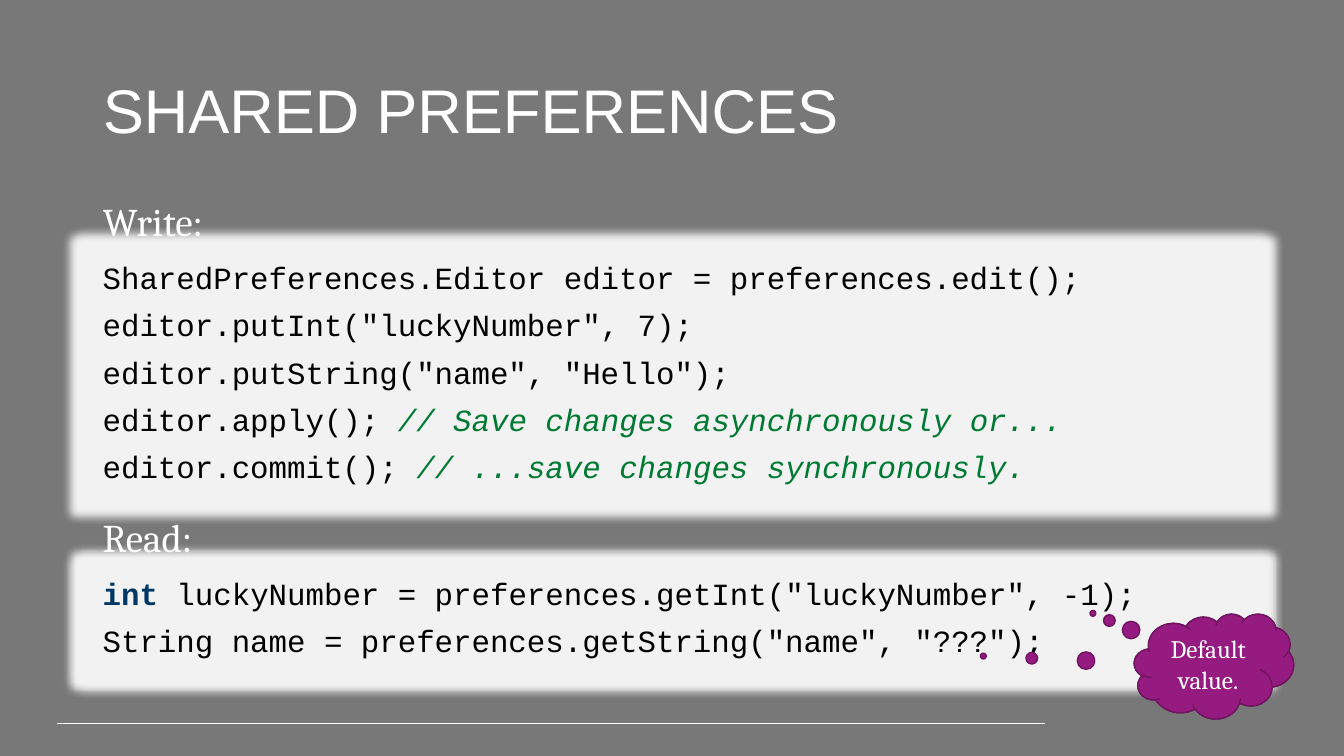
from dataclasses import dataclass

from lxml import etree
from pptx import Presentation
from pptx.dml.color import RGBColor
from pptx.enum.shapes import MSO_CONNECTOR, MSO_SHAPE
from pptx.enum.text import MSO_ANCHOR, MSO_AUTO_SIZE, PP_ALIGN
from pptx.oxml.ns import qn
from pptx.util import Inches, Pt

RECT = MSO_SHAPE.RECTANGLE
CLOUD = MSO_SHAPE.CLOUD_CALLOUT
STRAIGHT = MSO_CONNECTOR.STRAIGHT
TOP, MIDDLE = MSO_ANCHOR.TOP, MSO_ANCHOR.MIDDLE
LEFT, CENTER = PP_ALIGN.LEFT, PP_ALIGN.CENTER
FIXED, GROW = MSO_AUTO_SIZE.NONE, MSO_AUTO_SIZE.SHAPE_TO_FIT_TEXT

COLORS = {
    "back": "787878",
    "white": "FFFFFF",
    "panel": "F2F2F2",
    "code": "000000",
    "note": "007A33",
    "key": "003865",
    "cloud": "961B81",
    "edge": "6F145F",
}
MARGIN = 0.92
WIDTH = 11.5
HEAD_WIDTH = 10.09
GLOW = Pt(11)


@dataclass(frozen=True)
class Span:
    text: str
    color: str = "code"
    bold: bool = False
    slant: bool = False


@dataclass(frozen=True)
class Panel:
    top: float
    height: float
    lines: list[list[Span]]


@dataclass(frozen=True)
class Cloud:
    tail: tuple[float, float]


PANELS = [
    Panel(2.56, 2.33, [
        [Span("SharedPreferences.Editor editor = preferences.edit();")],
        [Span('editor.putInt("luckyNumber", 7);')],
        [Span('editor.putString("name", "Hello");')],
        [Span("editor.apply(); "),
         Span("// Save changes asynchronously or...", "note", slant=True)],
        [Span("editor.commit();"),
         Span(" // ...save changes synchronously.", "note", slant=True)],
    ]),
    Panel(5.69, 0.92, [
        [Span("int ", "key", bold=True),
         Span('luckyNumber = preferences.getInt("luckyNumber", -1);')],
        [Span('String name = preferences.getString("name", "???");')],
    ]),
]
CLOUDS = [Cloud((-0.76, -0.505)), Cloud((-1.448, -0.097))]


def tint(name: str) -> RGBColor:
    return RGBColor.from_string(COLORS[name])


def place(shape, left: float, top: float, width: float, height: float) -> None:
    shape.left, shape.top = Inches(left), Inches(top)
    shape.width, shape.height = Inches(width), Inches(height)


def write(shape, lines: list[list[Span]], font: str, size: float,
          pitch: float = 1.0, gap: float = 0, align=LEFT, anchor=TOP, fit=FIXED) -> None:
    frame = shape.text_frame
    frame.word_wrap = True
    frame.auto_size = fit
    frame.vertical_anchor = anchor
    for index, line in enumerate(lines):
        para = frame.add_paragraph() if index else frame.paragraphs[0]
        para.alignment = align
        para.line_spacing = pitch
        para.space_before = Pt(gap if index else 0)
        for span in line:
            run = para.add_run()
            run.text = span.text
            run.font.name = font
            run.font.size = Pt(size)
            run.font.bold = span.bold
            run.font.italic = span.slant
            run.font.color.rgb = tint(span.color)


def head(shape, text: str) -> None:
    write(shape, [[Span(text, "white")]], "Cambria", 28, pitch=0.8)


def strip(shape) -> None:
    props = shape.text_frame.paragraphs[0]._p.get_or_add_pPr()
    props.set("marL", "0")
    props.set("indent", "0")
    etree.SubElement(props, qn("a:buNone"))


def draw_panel(shapes, panel: Panel) -> None:
    box = shapes.add_shape(RECT, Inches(MARGIN), Inches(panel.top),
                           Inches(WIDTH), Inches(panel.height))
    box.shadow.inherit = False
    box.fill.solid()
    box.fill.fore_color.rgb = tint("panel")
    box.line.fill.background()
    effects = box.element.spPr.find(qn("a:effectLst"))
    glow = etree.SubElement(effects, qn("a:glow"), rad=str(GLOW))
    etree.SubElement(glow, qn("a:srgbClr"), val=COLORS["panel"])
    write(box, panel.lines, "Courier New", 22, pitch=0.9, gap=10, fit=GROW)


def draw_cloud(shapes, cloud: Cloud) -> None:
    puff = shapes.add_shape(CLOUD, Inches(11.25), Inches(6.09), Inches(1.58), Inches(1.04))
    puff.shadow.inherit = False
    puff.adjustments[0], puff.adjustments[1] = cloud.tail
    puff.fill.solid()
    puff.fill.fore_color.rgb = tint("cloud")
    puff.line.color.rgb = tint("edge")
    puff.line.width = Pt(1)
    write(puff, [[Span("Default value.", "white")]], "Cambria", 18,
          align=CENTER, anchor=MIDDLE)


def draw_rule(shapes) -> None:
    rule = shapes.add_connector(STRAIGHT, Inches(0.57), Inches(7.18),
                                Inches(10.36), Inches(7.18))
    rule.line.color.rgb = tint("white")
    rule.line.width = Pt(0.75)
    etree.SubElement(rule.element.spPr, qn("a:effectLst"))


def main() -> None:
    deck = Presentation()
    deck.slide_width, deck.slide_height = Inches(13.33), Inches(7.5)
    slide = deck.slides.add_slide(deck.slide_layouts[1])
    slide.background.fill.solid()
    slide.background.fill.fore_color.rgb = tint("back")
    shapes = slide.shapes

    draw_rule(shapes)
    title = shapes.title
    place(title, MARGIN, 0.4, WIDTH, 1.45)
    write(title, [[Span("SHARED PREFERENCES", "white")]], "Arial", 44,
          pitch=0.9, anchor=MIDDLE)

    for panel in PANELS:
        draw_panel(shapes, panel)

    body = slide.placeholders[1]
    place(body, MARGIN, 2, HEAD_WIDTH, 0.51)
    strip(body)
    head(body, "Write:")
    shapes.element.append(body.element)
    label = shapes.add_textbox(Inches(MARGIN), Inches(5.13), Inches(HEAD_WIDTH), Inches(0.51))
    head(label, "Read:")

    for cloud in CLOUDS:
        draw_cloud(shapes, cloud)
    deck.save("out.pptx")


if __name__ == "__main__":
    main()
